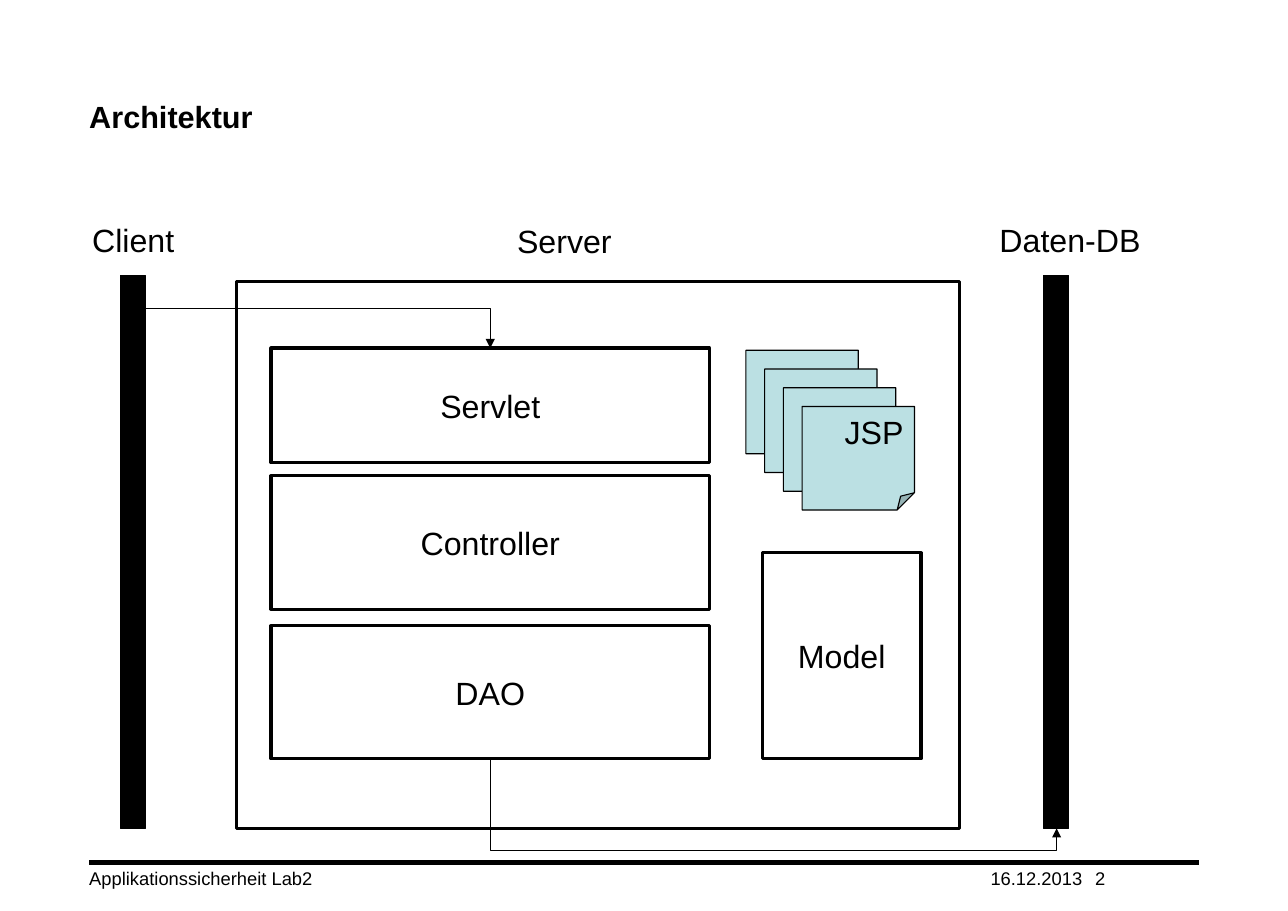
from lxml import etree
from pptx import Presentation
from pptx.dml.color import RGBColor
from pptx.enum.shapes import MSO_CONNECTOR as Connector, MSO_SHAPE as Shape
from pptx.enum.text import MSO_ANCHOR as Anchor, PP_ALIGN as Align
from pptx.oxml.ns import qn
from pptx.util import Inches, Pt

BLACK, WHITE, PAGE_BLUE = "000000", "FFFFFF", "BBE0E3"


def color(hex_code):
    return RGBColor.from_string(hex_code)


class Diagram:
    font = "Arial"
    label_size = 21

    def __init__(self, slide):
        self.slide = slide

    def set_text(self, shape, text, size, align=Align.LEFT, anchor=Anchor.TOP,
                 bold=False, inset=True):
        frame = shape.text_frame
        frame.text = text
        frame.word_wrap = True
        frame.vertical_anchor = anchor
        if not inset:
            frame.margin_left = frame.margin_right = 0
            frame.margin_top = frame.margin_bottom = 0
        paragraph = frame.paragraphs[0]
        paragraph.alignment = align
        font = paragraph.runs[0].font
        font.name, font.size, font.bold = self.font, Pt(size), bold
        font.color.rgb = color(BLACK)

    def title(self, text, left, top, width, height):
        title = self.slide.shapes.title
        title.left, title.top = Inches(left), Inches(top)
        title.width, title.height = Inches(width), Inches(height)
        self.set_text(title, text, 20, bold=True, inset=False)

    def text_box(self, left, top, width, height):
        return self.slide.shapes.add_textbox(
            Inches(left), Inches(top), Inches(width), Inches(height))

    def label(self, text, left, top, width):
        box = self.text_box(left, top, width, 0.45)
        self.set_text(box, text, self.label_size, Align.RIGHT)

    def footer(self, text, left, width):
        box = self.text_box(left, 7.87, width, 0.2)
        self.set_text(box, text, 12, anchor=Anchor.BOTTOM, inset=False)

    def box(self, left, top, width, height, text="", fill=WHITE, line=2,
            kind=Shape.RECTANGLE, parent=None, align=Align.CENTER,
            anchor=Anchor.MIDDLE):
        shape = (parent or self.slide).shapes.add_shape(
            kind, Inches(left), Inches(top), Inches(width), Inches(height))
        shape.shadow.inherit = False
        if fill:
            shape.fill.solid()
            shape.fill.fore_color.rgb = color(fill)
        else:
            shape.fill.background()
        shape.line.color.rgb = color(BLACK)
        shape.line.width = Pt(line)
        if text:
            self.set_text(shape, text, self.label_size, align, anchor)

    def page_stack(self, text, left, top, count, step):
        group = self.slide.shapes.add_group_shape()
        for index in range(count):
            self.box(left + index * step, top + index * step, 1.02, 0.94,
                     text if index == count - 1 else "", PAGE_BLUE, 0.75,
                     Shape.FOLDED_CORNER, group, Align.RIGHT, Anchor.TOP)

    def connector(self, kind, start, end, width, arrow=False):
        points = [Inches(value) for value in (*start, *end)]
        connector = self.slide.shapes.add_connector(kind, *points)
        connector.line.color.rgb = color(BLACK)
        connector.line.width = Pt(width)
        properties = connector._element.spPr
        if arrow:
            etree.SubElement(properties.find(qn("a:ln")), qn("a:tailEnd"),
                             type="triangle")
        etree.SubElement(properties, qn("a:effectLst"))
        return connector

    def corner_arrow(self, start, end):
        """Arrow that runs right, then down."""
        arrow = self.connector(Connector.ELBOW, start, end, 0.75, True)
        arrow._element.spPr.find(qn("a:prstGeom")).set("prst", "bentConnector2")

    def underpass_arrow(self, start, end, depth):
        """Arrow that runs down past its end by depth, right, then up."""
        arrow = self.connector(Connector.ELBOW, start, end, 0.75, True)
        across, down = end[0] - start[0], end[1] - start[1]
        arrow.left = Inches((start[0] + end[0] - down) / 2)
        arrow.top = Inches((start[1] + end[1] - across) / 2)
        arrow.width, arrow.height = Inches(down), Inches(across)
        properties = arrow._element.spPr
        frame = properties.find(qn("a:xfrm"))
        frame.set("rot", str(270 * 60000))
        frame.set("flipH", "1")
        adjustments = properties.find(qn("a:prstGeom")).find(qn("a:avLst"))
        ratio = round((down + depth) / down * 100000)
        etree.SubElement(adjustments, qn("a:gd"), name="adj1", fmla=f"val {ratio}")


def main():
    presentation = Presentation()
    presentation.slide_width = Inches(11.69)
    presentation.slide_height = Inches(8.27)
    diagram = Diagram(presentation.slides.add_slide(presentation.slide_layouts[5]))

    diagram.connector(Connector.STRAIGHT, (0.81, 7.83), (10.88, 7.83), 3)
    for text, left, width in (("Applikationssicherheit Lab2", 0.81, 8.19),
                              ("16.12.2013", 8.99, 0.95),
                              ("2", 9.94, 0.94)):
        diagram.footer(text, left, width)
    diagram.title("Architektur", 0.81, 0.89, 10.08, 0.4)

    diagram.box(2.15, 2.56, 6.56, 4.96, fill=None)
    for text, left, top, width in (("Client", 0.73, 1.95, 0.95),
                                   ("Server", 4.47, 1.96, 1.18),
                                   ("Daten-DB", 8.73, 1.95, 1.72)):
        diagram.label(text, left, top, width)
    for left in (1.09, 9.47):
        diagram.box(left, 2.5, 0.23, 5.02, fill=BLACK, line=0.75)

    diagram.page_stack("JSP", 6.77, 3.18, count=4, step=0.17)
    for text, top, height in (("Servlet", 3.16, 1.04),
                              ("Controller", 4.32, 1.21),
                              ("DAO", 5.68, 1.21)):
        diagram.box(2.46, top, 3.98, height, text)
    diagram.box(6.92, 5.02, 1.44, 1.87, "Model")

    diagram.corner_arrow((1.21, 2.8), (4.45, 3.16))
    diagram.underpass_arrow((4.45, 6.89), (9.59, 7.52), 0.2)
    presentation.save("out.pptx")


if __name__ == "__main__":
    main()
